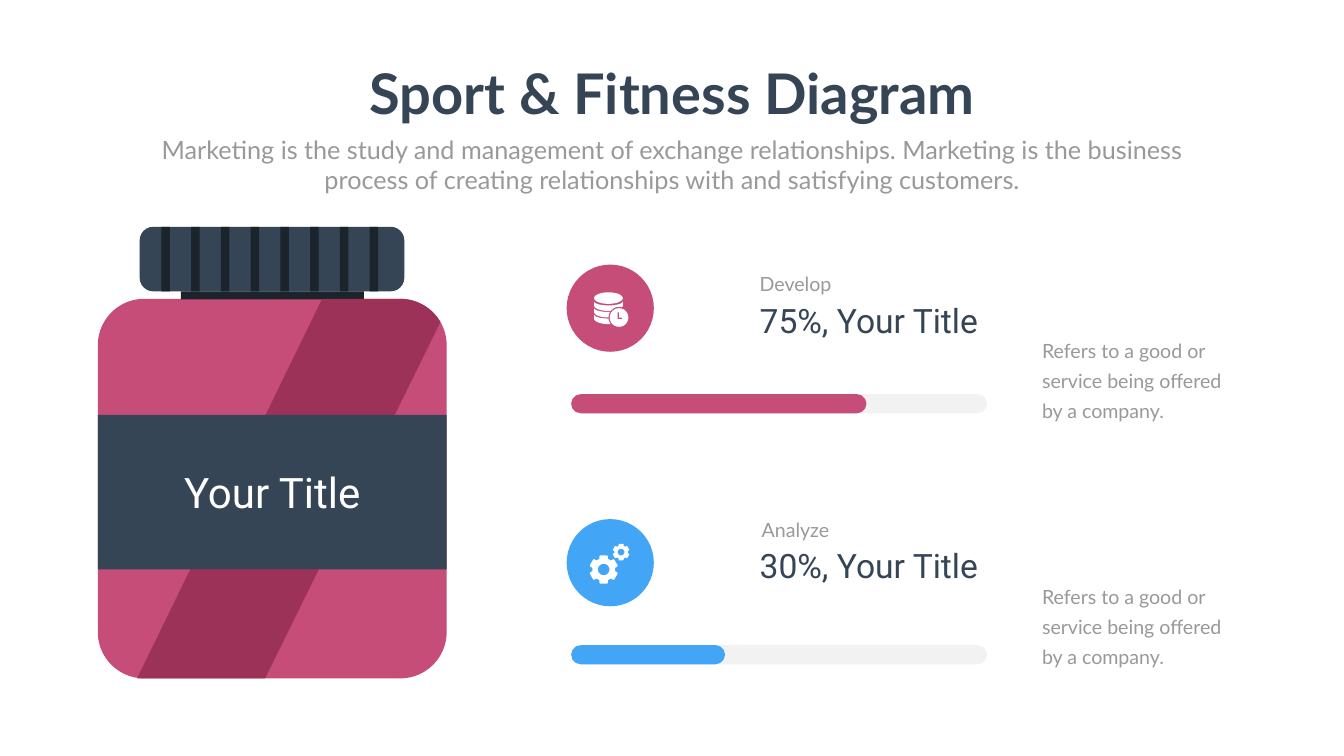
from math import cos, radians, sin

from pptx import Presentation
from pptx.dml.color import RGBColor
from pptx.enum.shapes import MSO_SHAPE as Preset
from pptx.enum.text import MSO_ANCHOR as Anchor, MSO_AUTO_SIZE as AutoSize, PP_ALIGN as Align
from pptx.util import Inches, Pt

COLORS = {
    "rose": "C64D77", "wine": "9C3257", "blue": "43A5F6", "navy": "364556",
    "ink": "1B232B", "gray": "999999", "track": "F2F2F2", "white": "FFFFFF",
}
TITLE = "Sport & Fitness Diagram"
SUBTITLE = ("Marketing is the study and management of exchange relationships. "
            "Marketing is the business process of creating relationships with "
            "and satisfying customers.")
JAR_TITLE = "Your Title"
DETAIL = "Refers to a good or service being offered by a company."
STEPS = [
    {"name": "Develop", "heading": "75%, Your Title", "color": "rose", "share": 0.71,
     "icon_top": 5.25, "name_at": (14.97, 5.25), "bar_top": 7.82, "detail_top": 6.47},
    {"name": "Analyze", "heading": "30%, Your Title", "color": "blue", "share": 0.37,
     "icon_top": 10.3, "name_at": (15.01, 10.12), "bar_top": 12.8, "detail_top": 11.36},
]
JAR_LEFT, JAR_TOP, JAR_WIDTH, JAR_HEIGHT = 1.94, 5.93, 6.92, 7.53
JAR_ROUNDING = 0.133
CAP_LEFT, CAP_TOP, CAP_WIDTH, CAP_HEIGHT = 2.77, 4.5, 5.25, 1.28
RIDGES, RIDGE_LEFT, RIDGE_STEP, RIDGE_WIDTH = 8, 3.2, 0.59, 0.17
LABEL_TOP, LABEL_HEIGHT = 8.23, 3.07
BADGE_LEFT, BADGE_SIZE = 11.24, 1.73
BAR_LEFT, BAR_WIDTH, BAR_HEIGHT = 11.33, 8.25, 0.38

deck = Presentation()
deck.slide_width, deck.slide_height = Inches(26.66), Inches(15)
slide = deck.slides.add_slide(deck.slide_layouts[5])
shapes = slide.shapes


def rgb(color):
    return RGBColor.from_string(COLORS[color])


def paint(shape, color):
    shape.shadow.inherit = False
    shape.fill.solid()
    shape.fill.fore_color.rgb = rgb(color)
    shape.line.fill.background()


def block(preset, left, top, width, height, color, rounding=None):
    shape = shapes.add_shape(preset, *map(Inches, (left, top, width, height)))
    if rounding is not None:
        shape.adjustments[0] = rounding
    paint(shape, color)


def outline(color, *contours):
    builder = None
    for contour in contours:
        start, *rest = [(Inches(x), Inches(y)) for x, y in contour]
        if builder is None:
            builder = shapes.build_freeform(*start)
        else:
            builder.move_to(*start)
        builder.add_line_segments(rest, close=True)
    paint(builder.convert_to_shape(), color)


def arc(x, y, rx, ry, start=0, end=360, steps=24):
    angles = [radians(start + (end - start) * i / steps) for i in range(steps + 1)]
    return [(x + rx * cos(a), y + ry * sin(a)) for a in angles]


def write(shape, text, size, font, color, align=Align.LEFT, bold=False,
          spacing=None, wrap=True):
    frame = shape.text_frame
    frame.auto_size = AutoSize.NONE
    frame.word_wrap = wrap
    frame.vertical_anchor = Anchor.TOP
    paragraph = frame.paragraphs[0]
    paragraph.alignment = align
    if spacing:
        paragraph.line_spacing = Pt(spacing)
    run = paragraph.add_run()
    run.text = text
    run.font.size, run.font.name, run.font.bold = Pt(size), font, bold
    run.font.color.rgb = rgb(color)
    return frame


def textbox(left, top, width, height):
    return shapes.add_textbox(*map(Inches, (left, top, width, height)))


def draw_jar():
    block(Preset.ROUNDED_RECTANGLE, JAR_LEFT, JAR_TOP, JAR_WIDTH, JAR_HEIGHT,
          "rose", JAR_ROUNDING)
    block(Preset.ROUNDED_RECTANGLE, CAP_LEFT, CAP_TOP, CAP_WIDTH, CAP_HEIGHT, "navy", 0.21)
    for i in range(RIDGES):
        block(Preset.RECTANGLE, RIDGE_LEFT + i * RIDGE_STEP, CAP_TOP,
              RIDGE_WIDTH, CAP_HEIGHT, "ink")
    block(Preset.RECTANGLE, 3.59, CAP_TOP + CAP_HEIGHT, 3.63, 0.16, "ink")
    corner = JAR_ROUNDING * JAR_WIDTH
    shoulder = arc(JAR_LEFT + JAR_WIDTH - corner, JAR_TOP + corner, corner, corner, -90, -30)
    bottom = JAR_TOP + JAR_HEIGHT
    outline("wine", [(6.39, JAR_TOP), *shoulder, (5.26, bottom), (2.72, bottom)])
    block(Preset.RECTANGLE, JAR_LEFT, LABEL_TOP, JAR_WIDTH, LABEL_HEIGHT, "navy")
    write(textbox(3.21, 9.21, 4.38, 1.11), JAR_TITLE, 60, "Roboto", "white", Align.CENTER)


def draw_database():
    x, radius = 12.07, 0.285
    block(Preset.OVAL, x - radius, 5.8, 2 * radius, 0.23, "white")
    for top in (5.98, 6.11, 6.24):
        outline("white", arc(x, top, radius, 0.08, 180, 0)
                + arc(x, top + 0.08, radius, 0.11, 0, 180))
    clock_x, clock_y = 12.28, 6.3
    outline("rose", arc(clock_x, clock_y, 0.21, 0.21))
    hands = [(12.25, 6.2), (12.28, 6.2), (12.28, 6.3), (12.34, 6.3), (12.34, 6.33), (12.25, 6.33)]
    outline("white", arc(clock_x, clock_y, 0.185, 0.185), hands)


def draw_gear(x, y, radius):
    tooth = [(-0.3, -0.76), (-0.3, -0.94), (-0.24, -1), (0.24, -1), (0.3, -0.94), (0.3, -0.76)]
    rim = []
    for turn in range(0, 360, 60):
        c, s = cos(radians(turn)), sin(radians(turn))
        rim += [(x + radius * (u * c - v * s), y + radius * (u * s + v * c)) for u, v in tooth]
    outline("white", rim, arc(x, y, 0.41 * radius, 0.41 * radius))


def draw_gears():
    draw_gear(11.975, 11.3, 0.28)
    draw_gear(12.32, 10.955, 0.165)


def draw_step(step, draw_icon):
    for share, color in ((1, "track"), (step["share"], step["color"])):
        block(Preset.ROUNDED_RECTANGLE, BAR_LEFT, step["bar_top"],
              BAR_WIDTH * share, BAR_HEIGHT, color, 0.5)
    block(Preset.OVAL, BADGE_LEFT, step["icon_top"], BADGE_SIZE, BADGE_SIZE, step["color"])
    draw_icon()
    left, top = step["name_at"]
    write(textbox(left, top, 2.25, 0.63), step["name"], 28, "Lato", "gray", spacing=40.8)
    write(textbox(14.97, top + 0.65, 4.76, 0.91), step["heading"], 48, "Roboto", "navy")
    detail = write(textbox(20.43, step["detail_top"], 4.29, 1.98), DETAIL, 28, "Lato",
                   "gray", spacing=43)
    detail.margin_left = detail.margin_right = Inches(0.24)
    detail.margin_top = detail.margin_bottom = Inches(0.12)


title = shapes.title
title.left, title.top, title.width, title.height = map(Inches, (7.18, 1.12, 12.31, 1.45))
write(title, TITLE, 80, "Lato", "navy", Align.CENTER, bold=True, wrap=False)
write(textbox(2.92, 2.61, 20.82, 1.31), SUBTITLE, 36, "Lato", "gray", Align.CENTER)
draw_jar()
for step, draw_icon in zip(STEPS, (draw_database, draw_gears)):
    draw_step(step, draw_icon)
deck.save("out.pptx")
